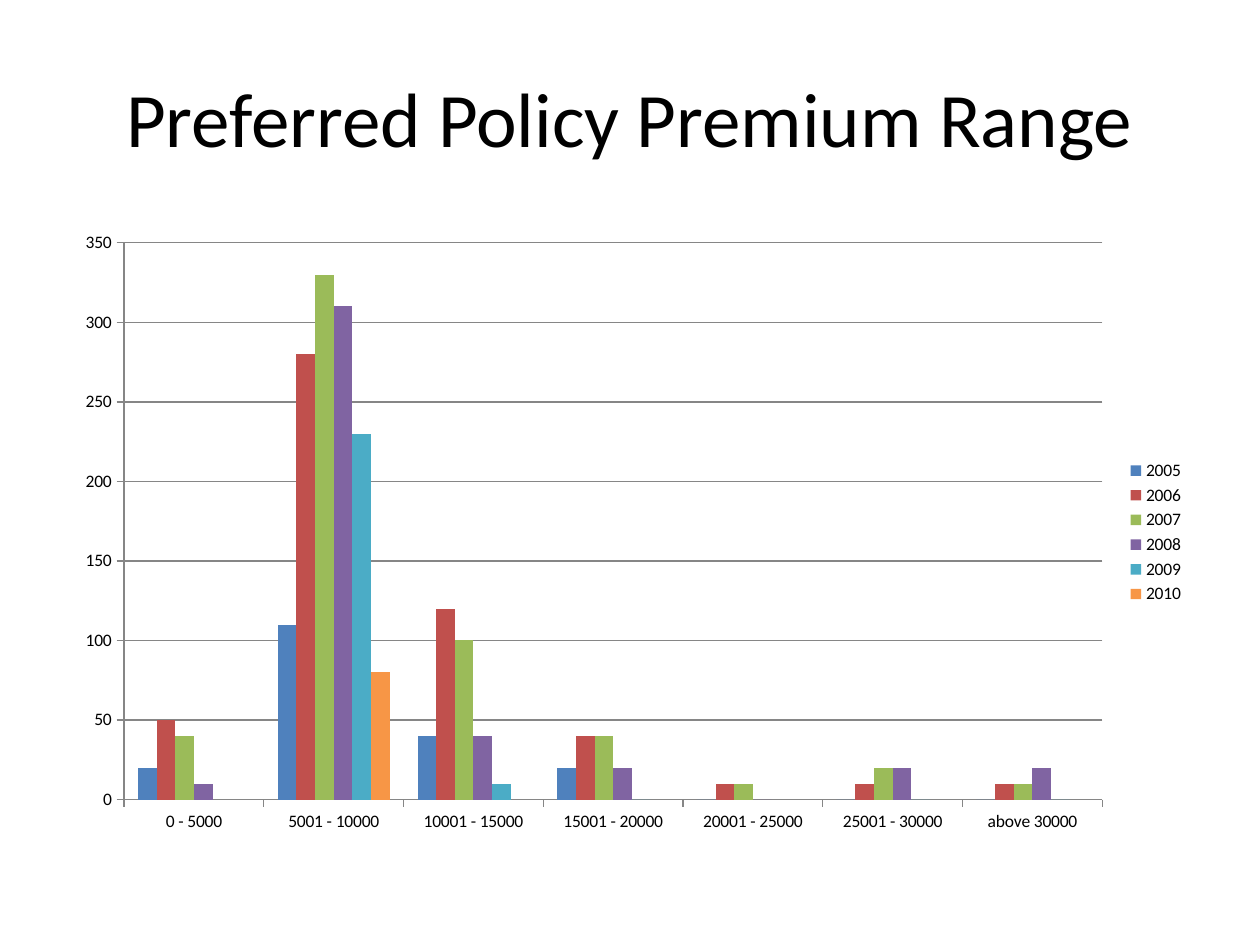
from dataclasses import dataclass

from pptx import Presentation
from pptx.chart.data import CategoryChartData
from pptx.dml.color import RGBColor
from pptx.enum.chart import XL_CHART_TYPE as ChartType
from pptx.enum.chart import XL_LEGEND_POSITION as LegendPosition
from pptx.enum.chart import XL_TICK_MARK as TickMark
from pptx.enum.text import MSO_ANCHOR as Anchor
from pptx.enum.text import PP_ALIGN as Align
from pptx.util import Inches, Pt


@dataclass(frozen=True)
class Theme:
    font: str = "Calibri"
    title_size: int = 44
    chart_size: int = 10
    text: str = "000000"
    line: str = "868686"
    series: tuple = ("4F81BD", "C0504D", "9BBB59", "8064A2", "4BACC6", "F79646")


# Policies per premium range, by year, to the nearest ten
RANGES = ["0 - 5000", "5001 - 10000", "10001 - 15000", "15001 - 20000",
          "20001 - 25000", "25001 - 30000", "above 30000"]
POLICIES = {
    "2005": [20, 110, 40, 20, 0, 0, 0],
    "2006": [50, 280, 120, 40, 10, 10, 10],
    "2007": [40, 330, 100, 40, 10, 20, 10],
    "2008": [10, 310, 40, 20, 0, 20, 20],
    "2009": [None, 230, 10, 0, None, 0, 0],
    "2010": [None, 80, None, None, None, None, None],
}


class SlideBuilder:
    """Places elements on a grid of 20 columns and 150 rows."""

    def __init__(self, presentation, theme):
        self.theme = theme
        self.column = presentation.slide_width // 20
        self.row = presentation.slide_height // 150
        self.slide = presentation.slides.add_slide(presentation.slide_layouts[5])

    def box(self, column, row, columns, rows):
        return (column * self.column, row * self.row,
                columns * self.column, rows * self.row)

    def style_font(self, font, size):
        font.name = self.theme.font
        font.size = Pt(size)
        font.color.rgb = RGBColor.from_string(self.theme.text)

    def style_line(self, line):
        line.color.rgb = RGBColor.from_string(self.theme.line)
        line.width = Pt(0.75)

    def title(self, text, *cells):
        shape = self.slide.shapes.title
        shape.left, shape.top, shape.width, shape.height = self.box(*cells)
        frame = shape.text_frame
        frame.text = text
        frame.vertical_anchor = Anchor.MIDDLE
        paragraph = frame.paragraphs[0]
        paragraph.alignment = Align.CENTER
        self.style_font(paragraph.font, self.theme.title_size)

    def column_chart(self, categories, series, *cells):
        data = CategoryChartData()
        data.categories = categories
        for name, values in series.items():
            data.add_series(name, values)
        chart = self.slide.shapes.add_chart(
            ChartType.COLUMN_CLUSTERED, *self.box(*cells), data).chart
        self.style_font(chart.font, self.theme.chart_size)
        chart.has_title = False

        # Columns
        plot = chart.plots[0]
        plot.gap_width = 150
        plot.vary_by_categories = False
        for columns, color in zip(plot.series, self.theme.series):
            columns.format.fill.solid()
            columns.format.fill.fore_color.rgb = RGBColor.from_string(color)

        # Axes and gridlines
        for axis in (chart.category_axis, chart.value_axis):
            axis.major_tick_mark = TickMark.OUTSIDE
            self.style_line(axis.format.line)
        value_axis = chart.value_axis
        value_axis.minimum_scale, value_axis.maximum_scale = 0, 350
        value_axis.major_unit = 50
        value_axis.has_major_gridlines = True
        self.style_line(value_axis.major_gridlines.format.line)

        # Legend
        chart.has_legend = True
        chart.legend.position = LegendPosition.RIGHT
        chart.legend.include_in_layout = False


def main():
    presentation = Presentation()
    presentation.slide_width, presentation.slide_height = Inches(10), Inches(7.5)
    builder = SlideBuilder(presentation, Theme())
    builder.title("Preferred Policy Premium Range", 1, 6, 18, 25)
    builder.column_chart(RANGES, POLICIES, 1, 35, 18, 99)
    presentation.save("out.pptx")


if __name__ == "__main__":
    main()
